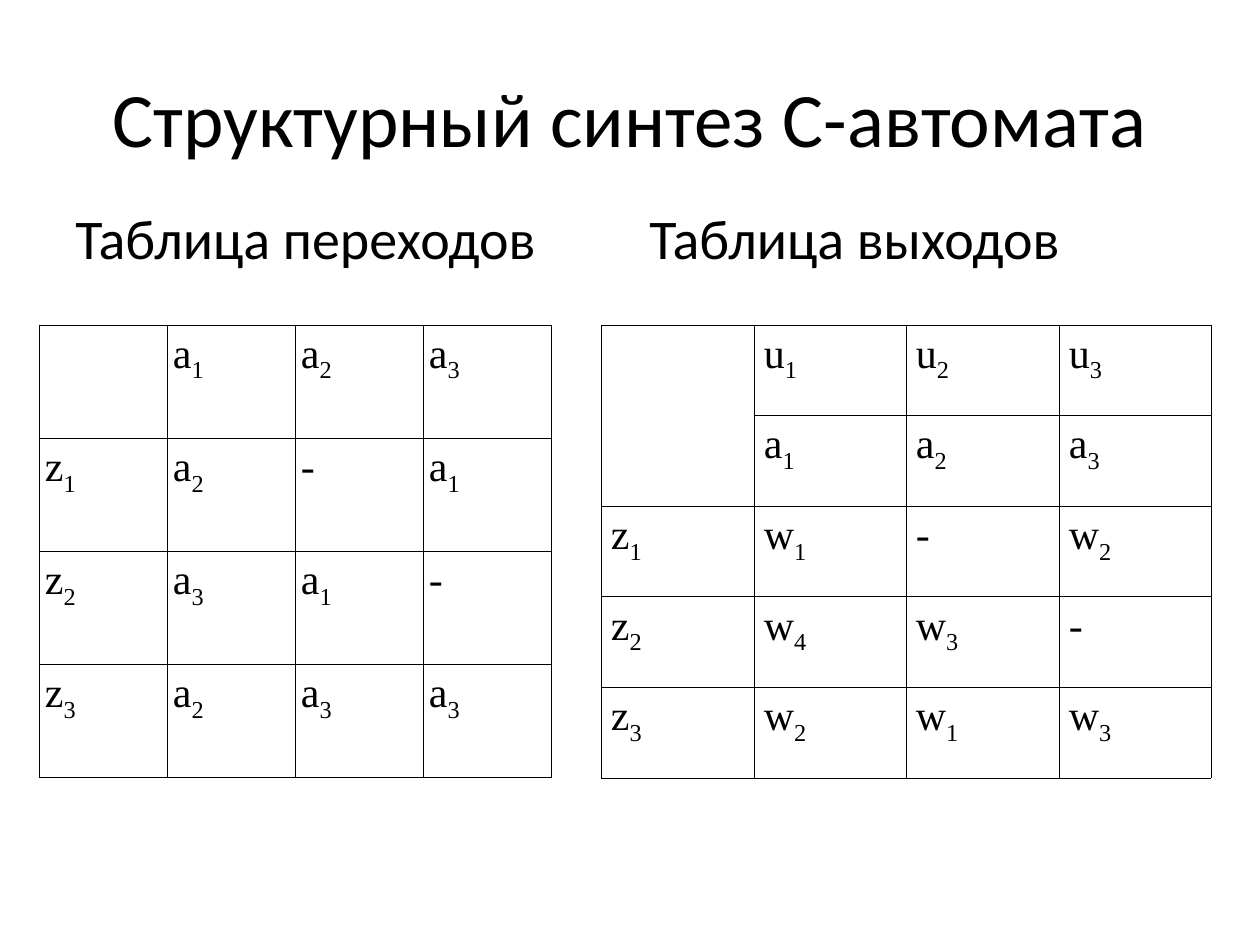
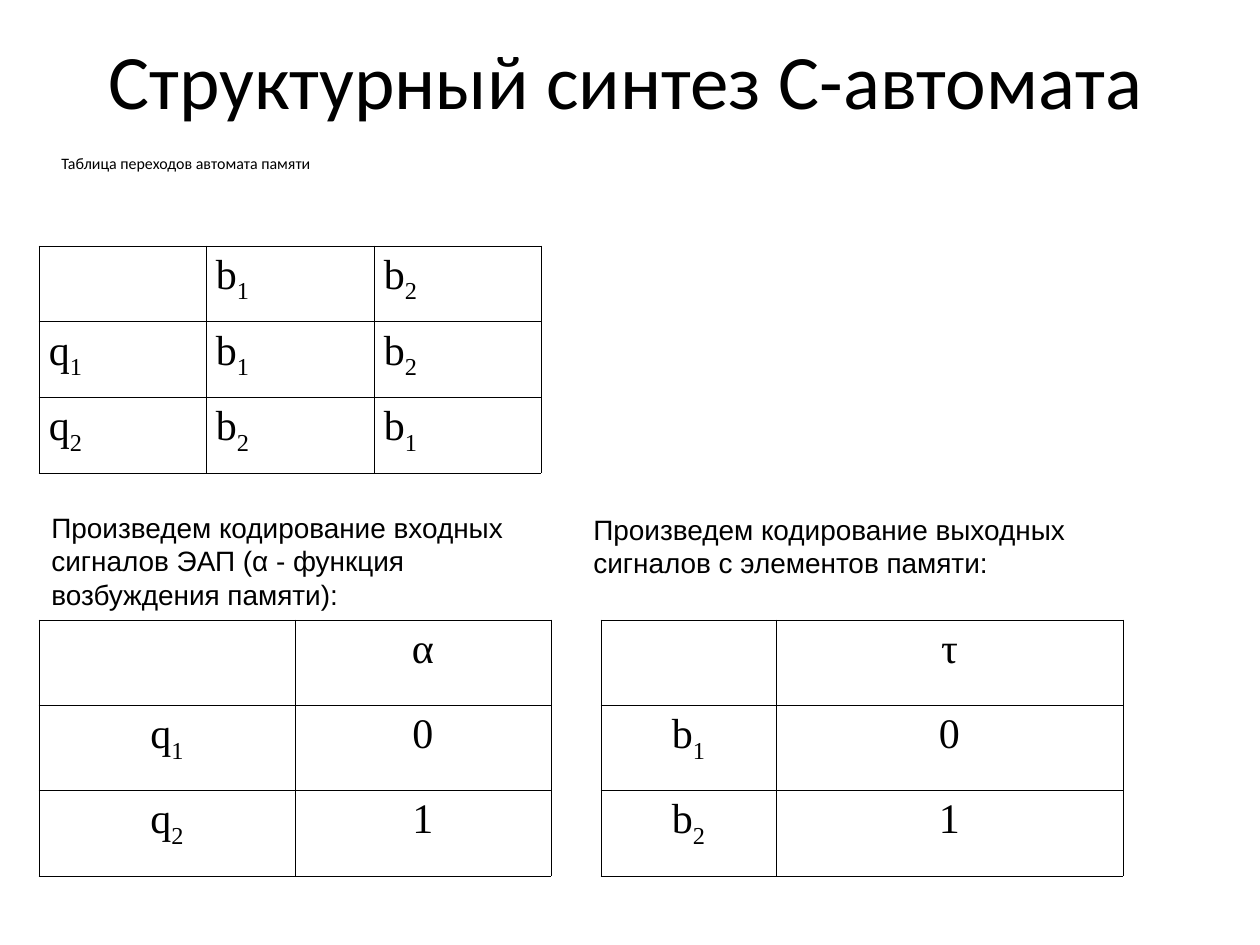
from lxml import etree
from pptx import Presentation
from pptx.dml.color import RGBColor
from pptx.enum.text import MSO_ANCHOR, PP_ALIGN
from pptx.oxml.ns import qn
from pptx.util import Pt

PX = 914400 / 126
BLACK = RGBColor(0, 0, 0)
WHITE = RGBColor(255, 255, 255)
TITLE_FONT, NOTE_FONT, TABLE_FONT = "Calibri", "Arial", "Times New Roman"
LEFT, CENTER, JUSTIFY = PP_ALIGN.LEFT, PP_ALIGN.CENTER, PP_ALIGN.JUSTIFY
TOP, MIDDLE = MSO_ANCHOR.TOP, MSO_ANCHOR.MIDDLE
TITLE = "Структурный синтез С-автомата"
LEFT_X, RIGHT_X = 39, 601


def px(n):
    return round(n * PX)


class Deck:
    def __init__(self):
        self.prs = Presentation()
        self.prs.slide_width, self.prs.slide_height = px(1260), px(945)

    def slide(self):
        self.s = self.prs.slides.add_slide(self.prs.slide_layouts[6])
        self.s.background.fill.solid()
        self.s.background.fill.fore_color.rgb = WHITE

    def style(self, r, size, font):
        r.font.size = Pt(size)
        r.font.name = font
        r.font.color.rgb = BLACK

    def text(self, x, y, w, h, text, size, font, align=LEFT, anchor=TOP, tab=None):
        tf = self.s.shapes.add_textbox(px(x), px(y), px(w), px(h)).text_frame
        tf.word_wrap = True
        tf.vertical_anchor = anchor
        p = tf.paragraphs[0]
        p.text = text
        p.alignment = align
        if tab:
            tabs = etree.SubElement(p._p.get_or_add_pPr(), qn("a:tabLst"))
            etree.SubElement(tabs, qn("a:tab"), pos=str(px(tab)), algn="l")
        for r in p.runs:
            self.style(r, size, font)

    def title(self, x, y):
        self.text(x, y, 1134, 158, TITLE, 44, TITLE_FONT, CENTER, MIDDLE)

    def note(self, x, y, w, text):
        self.text(x, y, w, 113, text, 16, NOTE_FONT)

    def table(self, x, y, widths, h, rows, align, inset=10):
        rows = [row.split("|") for row in rows]
        frame = self.s.shapes.add_table(len(rows), len(widths), px(x), px(y), px(sum(widths)), px(h))
        table = frame.table
        table.first_row = table.horz_banding = False
        for column, w in zip(table.columns, widths):
            column.width = px(w)
        for i, row in enumerate(rows):
            for j, symbol in enumerate(row):
                self.cell(table.cell(i, j), symbol, align, inset)
        return table

    def cell(self, cell, symbol, align, inset):
        cell.margin_left = cell.margin_right = px(inset)
        cell.margin_top = cell.margin_bottom = px(6)
        cell.fill.background()
        self.borders(cell)
        if not symbol:
            return
        p = cell.text_frame.paragraphs[0]
        p.text = symbol[0]
        p.alignment = align
        if symbol[1:]:
            r = p.add_run()
            r.text = symbol[1:]
            r.font._element.set("baseline", "-25000")
        for r in p.runs:
            self.style(r, 24, TABLE_FONT)

    def borders(self, cell):
        tcPr = cell._tc.get_or_add_tcPr()
        for i, side in enumerate("LRTB"):
            ln = etree.Element(qn(f"a:ln{side}"), w=str(Pt(0.45)))
            fill = etree.SubElement(ln, qn("a:solidFill"))
            etree.SubElement(fill, qn("a:srgbClr"), val=str(BLACK))
            tcPr.insert(i, ln)


def build_automaton_tables(deck):
    deck.slide()
    deck.title(63, 38)
    deck.table(LEFT_X, 325, [128] * 4, 453,
               ["|a1|a2|a3", "z1|a2|-|a1", "z2|a3|a1|-", "z3|a2|a3|a3"], JUSTIFY, 6)
    outputs = deck.table(RIGHT_X, 325, [153, 152] * 2, 453,
                         ["|u1|u2|u3", "|a1|a2|a3", "z1|w1|-|w2", "z2|w4|w3|-", "z3|w2|w1|w3"], JUSTIFY)
    outputs.cell(0, 0).merge(outputs.cell(1, 0))
    deck.text(63, 197, 1134, 45, "Таблица переходов\tТаблица выходов", 32, TITLE_FONT, tab=574)


def build_memory_coding(deck):
    deck.slide()
    deck.title(59, 0)
    deck.text(49, 147, 1134, 35, "Таблица переходов автомата памяти", 9.1, TITLE_FONT)
    deck.table(LEFT_X, 246, [167, 168, 167], 227, ["|b1|b2", "q1|b1|b2", "q2|b2|b1"], LEFT)
    deck.table(LEFT_X, 620, [256] * 2, 256, ["|α", "q1|0", "q2|1"], CENTER)
    deck.note(LEFT_X, 504, 512, "Произведем кодирование входных сигналов ЭАП (α - функция возбуждения памяти):")
    deck.table(RIGHT_X, 620, [175, 347], 256, ["|τ", "b1|0", "b2|1"], CENTER)
    deck.note(581, 506, 551, "Произведем кодирование выходных сигналов с элементов памяти:")


def main():
    deck = Deck()
    build_automaton_tables(deck)
    build_memory_coding(deck)
    deck.prs.save("out.pptx")


if __name__ == "__main__":
    main()
